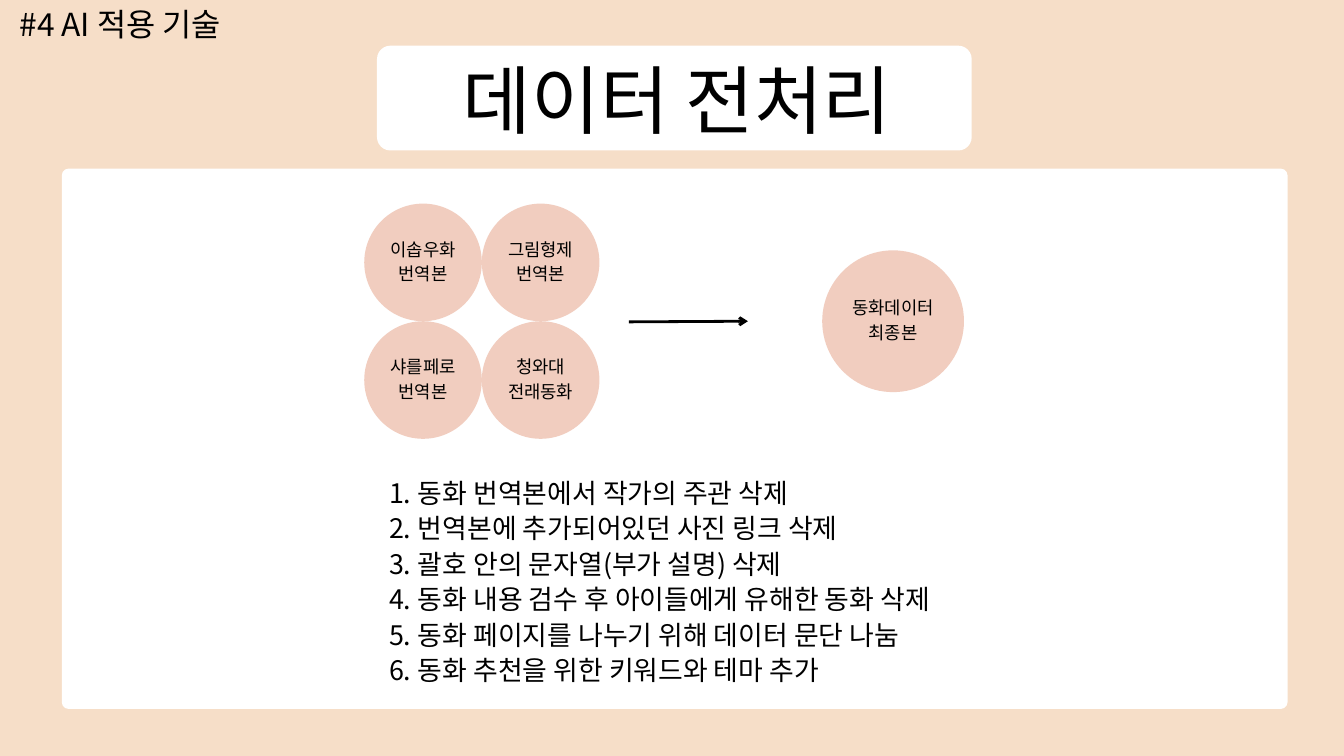
from lxml.etree import SubElement
from pptx import Presentation
from pptx.dml.color import RGBColor
from pptx.enum.shapes import MSO_CONNECTOR, MSO_SHAPE
from pptx.enum.text import MSO_ANCHOR, MSO_AUTO_SIZE, PP_ALIGN
from pptx.oxml.ns import qn
from pptx.util import Inches, Pt

COLORS = {"background": "F6DEC8", "panel": "FFFFFF", "circle": "F1CDBF", "ink": "000000"}
FONT = "Noto Sans CJK KR"


def color(name):
    return RGBColor.from_string(COLORS[name])


def write(tf, text, size, spacing, align=PP_ALIGN.LEFT, anchor=MSO_ANCHOR.TOP,
          insets=(0, 0, 0, 0), numbered=False):
    """Fill a text frame, one paragraph per line of text."""
    tf.word_wrap = True
    tf.vertical_anchor = anchor
    tf.margin_left, tf.margin_top, tf.margin_right, tf.margin_bottom = map(Inches, insets)
    for i, line in enumerate(text.split("\n")):
        p = tf.paragraphs[0] if i == 0 else tf.add_paragraph()
        p.alignment = align
        p.line_spacing = Pt(spacing)
        if numbered:
            p.level = 1
            pPr = p._p.get_or_add_pPr()
            pPr.set("marL", str(Inches(0.77)))
            pPr.set("indent", str(Inches(-0.43)))
            SubElement(pPr, qn("a:buFont"), typeface=FONT)
            SubElement(pPr, qn("a:buAutoNum"), type="arabicPeriod")
        r = p.add_run()
        r.text = line
        r.font.size = Pt(size)
        r.font.name = FONT
        r.font.color.rgb = color("ink")
        SubElement(r._r.get_or_add_rPr(), qn("a:ea"), typeface=FONT)


class SlideBuilder:
    def __init__(self, slide):
        self.slide = slide
        fill = slide.background.fill
        fill.solid()
        fill.fore_color.rgb = color("background")

    def shape(self, kind, x, y, w, h, fill):
        sp = self.slide.shapes.add_shape(kind, Inches(x), Inches(y), Inches(w), Inches(h))
        sp.shadow.inherit = False
        sp.fill.solid()
        sp.fill.fore_color.rgb = color(fill)
        sp.line.fill.background()
        return sp

    def panel(self, x, y, w, h, radius):
        sp = self.shape(MSO_SHAPE.ROUNDED_RECTANGLE, x, y, w, h, "panel")
        sp.adjustments[0] = radius / min(w, h)

    def circle(self, cx, cy, d, text):
        sp = self.shape(MSO_SHAPE.OVAL, cx - d / 2, cy - d / 2, d, d, "circle")
        write(sp.text_frame, text, 19, 26.6, align=PP_ALIGN.CENTER,
              anchor=MSO_ANCHOR.MIDDLE, insets=(0, 0, 0, 0.08))

    def text(self, x, y, w, h, text, size, spacing, **fmt):
        box = self.slide.shapes.add_textbox(Inches(x), Inches(y), Inches(w), Inches(h))
        write(box.text_frame, text, size, spacing, **fmt)
        box.text_frame.auto_size = MSO_AUTO_SIZE.SHAPE_TO_FIT_TEXT

    def arrow(self, x1, y1, x2, y2):
        line = self.slide.shapes.add_connector(
            MSO_CONNECTOR.STRAIGHT, Inches(x1), Inches(y1), Inches(x2), Inches(y2))
        line.line.color.rgb = color("ink")
        line.line.width = Pt(3)
        SubElement(line.line._get_or_add_ln(), qn("a:tailEnd"), type="arrow")
        SubElement(line._element.spPr, qn("a:effectLst"))


def main():
    prs = Presentation()
    prs.slide_width, prs.slide_height = Inches(20), Inches(11.25)
    s = SlideBuilder(prs.slides.add_slide(prs.slide_layouts[6]))

    # Panels and headings
    s.panel(0.92, 2.51, 18.24, 8.04, radius=0.1)
    s.panel(5.61, 0.68, 8.85, 1.56, radius=0.2)
    s.text(5.82, 0.85, 8.52, 1.3, "데이터 전처리", 80, 92.8, align=PP_ALIGN.CENTER)
    s.text(0.29, 0.26, 5.13, 0.45, "#4 AI 적용 기술", 34, 27.2)

    # Source data: touching circles around one centre
    d, mid_x, mid_y = 1.75, 7.17, 4.78
    sources = [["이솝우화\n번역본", "그림형제\n번역본"],
               ["샤를페로\n번역본", "청와대\n전래동화"]]
    for row, names in enumerate(sources):
        for col, name in enumerate(names):
            s.circle(mid_x + (col - 0.5) * d, mid_y + (row - 0.5) * d, d, name)

    # Final data
    s.arrow(9.36, 4.79, 11.13, 4.78)
    s.circle(13.29, mid_y, 2.11, "동화데이터\n최종본")

    # Preprocessing steps
    steps = ["동화 번역본에서 작가의 주관 삭제",
             "번역본에 추가되어있던 사진 링크 삭제",
             "괄호 안의 문자열(부가 설명) 삭제",
             "동화 내용 검수 후 아이들에게 유해한 동화 삭제",
             "동화 페이지를 나누기 위해 데이터 문단 나눔",
             "동화 추천을 위한 키워드와 테마 추가"]
    s.text(5.45, 7.04, 9.1, 3.16, "\n".join(steps), 28.8, 38, numbered=True)

    prs.save("out.pptx")


if __name__ == "__main__":
    main()
